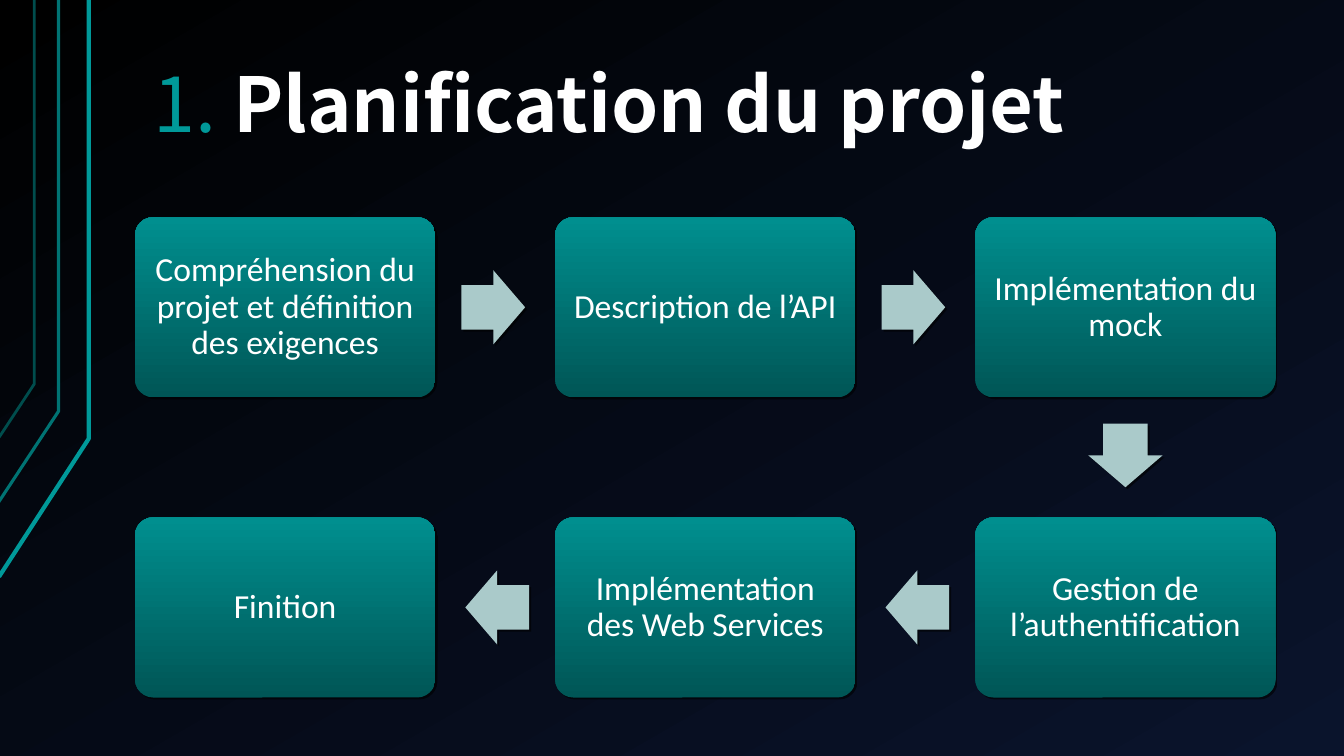
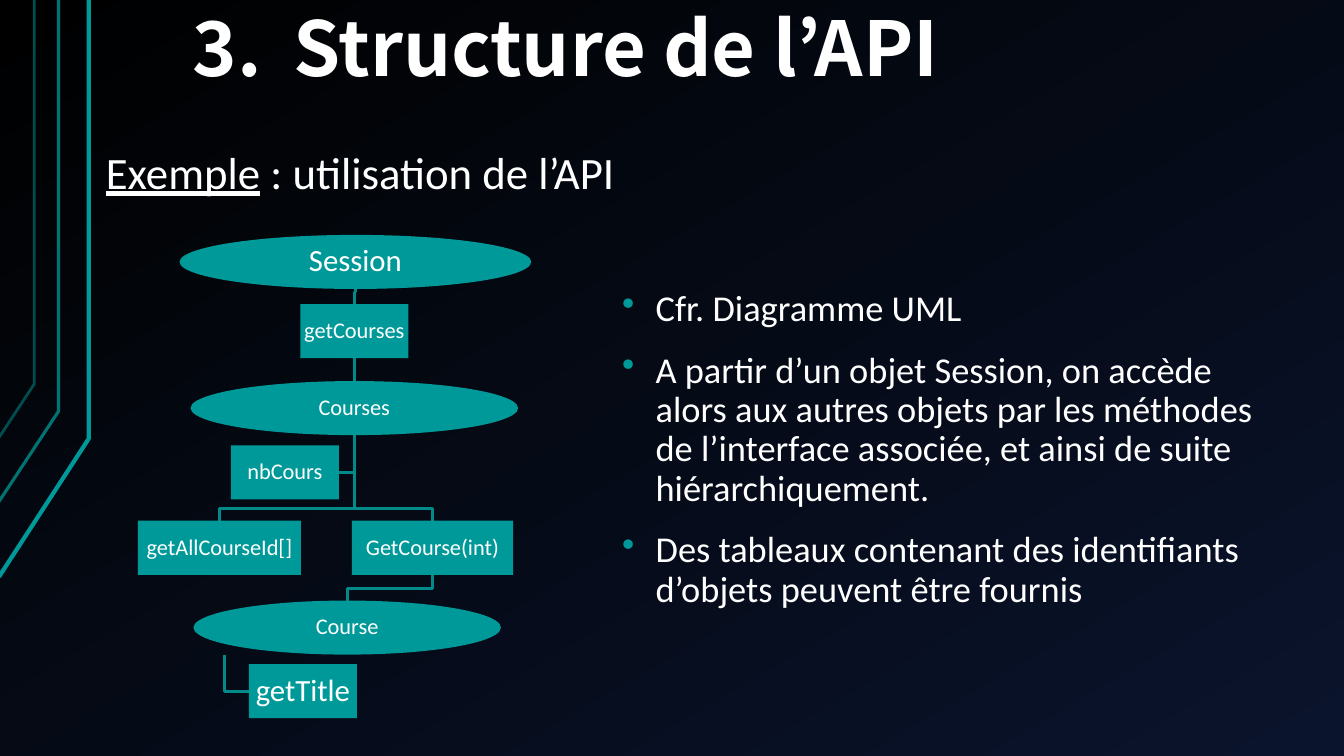
import pptx
import pptx.util
import pptx.dml.color
import pptx.enum.shapes
import pptx.enum.text
import pptx.oxml.ns
from dataclasses import dataclass
from lxml import etree

Pt = pptx.util.Pt
Kind = pptx.enum.shapes.MSO_SHAPE
Anchor = pptx.enum.text.MSO_ANCHOR
Align = pptx.enum.text.PP_ALIGN
qn = pptx.oxml.ns.qn


@dataclass(frozen=True)
class Theme:
    head: str = "Noto Sans CJK KR"
    body: str = "Calibri"
    white: str = "FFFFFF"
    black: str = "000000"
    navy: str = "0A142C"
    teal: str = "009999"
    light: str = "008F8F"
    dark: str = "005656"
    pale: str = "AACACA"
    link: str = "008A8A"
    title: int = 54
    lead: int = 32
    list: int = 26
    step: int = 24
    big: int = 22
    small: int = 16


T = Theme()


def rgb(code):
    return pptx.dml.color.RGBColor.from_string(code)


# Paint and text helpers
def blend(fill, start, end, angle):
    fill.gradient()
    fill.gradient_angle = angle
    for stop, code in zip(fill.gradient_stops, (start, end)):
        stop.color.rgb = rgb(code)


def flat(shape, code):
    shape.fill.solid()
    shape.fill.fore_color.rgb = rgb(code)
    shape.line.fill.background()
    shape.shadow.inherit = False


def drop(shape):
    """Hard shadow, 2 pt down and to the right."""
    shape.shadow.inherit = False
    effect = shape._element.spPr.find(qn("a:effectLst"))
    outer = etree.SubElement(effect, qn("a:outerShdw"), dist=str(Pt(2)),
                             dir="2700000", algn="tl", rotWithShape="0")
    color = etree.SubElement(outer, qn("a:srgbClr"), val=T.black)
    etree.SubElement(color, qn("a:alpha"), val="60000")


def frame(shape, anchor, side, top):
    text = shape.text_frame
    text.word_wrap = True
    text.vertical_anchor = anchor
    text.margin_left = text.margin_right = Pt(side)
    text.margin_top = text.margin_bottom = Pt(top)
    return text


def add_run(para, words, size, font=T.body, bold=False, under=False):
    run = para.add_run()
    run.text = words
    run.font.size = Pt(size)
    run.font.name = font
    run.font.bold = bold
    run.font.underline = under
    run.font.color.rgb = rgb(T.white)
    props = run._r.get_or_add_rPr()
    for tag in ("a:ea", "a:cs"):
        etree.SubElement(props, qn(tag), typeface=font)


def mark(para, indent, tag, **attrs):
    """Hanging teal bullet or number."""
    props = para._p.get_or_add_pPr()
    props.set("marL", str(Pt(indent)))
    props.set("indent", str(-Pt(indent)))
    color = etree.SubElement(props, qn("a:buClr"))
    etree.SubElement(color, qn("a:srgbClr"), val=T.teal)
    etree.SubElement(props, qn(tag), **attrs)


def text_box(slide, box, anchor=Anchor.BOTTOM):
    shape = slide.shapes.add_textbox(*map(Pt, box))
    text = frame(shape, anchor, 9.4, 5)
    text.paragraphs[0].line_spacing = 0.9
    return text


def label(shape, words, size, inset):
    text = frame(shape, Anchor.MIDDLE, inset, inset)
    para = text.paragraphs[0]
    para.alignment = Align.CENTER
    para.line_spacing = 0.9
    add_run(para, words, size)


def trace(slide, points, code, width):
    """Open line through points, straight or bent."""
    if len({x for x, y in points}) == 1:
        ends = [Pt(n) for p in (points[0], points[-1]) for n in p]
        line = slide.shapes.add_connector(
            pptx.enum.shapes.MSO_CONNECTOR.STRAIGHT, *ends)
        etree.SubElement(line._element.spPr, qn("a:effectLst"))
    else:
        first, *rest = [(Pt(x), Pt(y)) for x, y in points]
        pen = slide.shapes.build_freeform(*first)
        pen.add_line_segments(rest, close=False)
        line = pen.convert_to_shape()
        line.fill.background()
        line.shadow.inherit = False
    line.line.color.rgb = rgb(code)
    line.line.width = Pt(width)


# Shared backdrop
def backdrop(deck):
    slide = deck.slides.add_slide(deck.slide_layouts[6])
    blend(slide.background.fill, T.black, T.navy, 300)
    for x, bend, left, foot, code, width in (
            (63.4, 313.4, -0.7, 412, T.teal, 3),
            (41.8, 293.8, -1.4, 359.3, "007373", 2.25),
            (24.5, 274.3, -0.7, 312.5, "004D4D", 2)):
        trace(slide, [(left, foot), (x, bend), (x, 0)], code, width)
    return slide


# Snake of steps: first row rightwards, second row leftwards
def flow(slide, box, steps):
    left, top, width, height = box
    cols = 3
    wide, tall = 214.4, 128.6
    dx, dy = (width - wide) / (cols - 1), height - tall
    spots = []
    for i in range(len(steps)):
        row, col = divmod(i, cols)
        col = cols - 1 - col if row else col
        spots.append((left + col * dx, top + row * dy))

    for (x, y), words in zip(spots, steps):
        step = slide.shapes.add_shape(
            Kind.ROUNDED_RECTANGLE, Pt(x), Pt(y), Pt(wide), Pt(tall))
        step.adjustments[0] = 0.1
        blend(step.fill, T.dark, T.light, 90)
        step.line.fill.background()
        drop(step)
        label(step, words, T.step, 7)

    for (x, y), (nx, ny) in zip(spots, spots[1:]):
        if nx == x:
            kind, w, h, sx, sy = Kind.DOWN_ARROW, 53, 45.5, 0, 1
        else:
            sx, sy = (1 if nx > x else -1), 0
            kind = Kind.RIGHT_ARROW if sx > 0 else Kind.LEFT_ARROW
            w, h = 45.5, 53
        mx = (x + nx + wide) / 2 - 1.4 * sx
        my = (y + ny + tall) / 2 - 1.4 * sy
        arrow = slide.shapes.add_shape(
            kind, Pt(mx - w / 2), Pt(my - h / 2), Pt(w), Pt(h))
        arrow.adjustments[0], arrow.adjustments[1] = 0.6, 0.5
        flat(arrow, T.pale)
        drop(arrow)


# Tree of objects (ovals) and methods (boxes)
def tree(slide, box):
    left, top = box[:2]
    tall, bus = 38.6, 8.6
    oval, rect = Kind.OVAL, Kind.RECTANGLE
    nodes = {
        "Session": (oval, 29.6, 0, 251.3, T.big),
        "getCourses": (rect, 115.9, 49.4, 77.2, T.small),
        "Courses": (oval, 37.5, 104.4, 234, T.small),
        "nbCours": (rect, 66.3, 150.4, 77.2, T.small),
        "getAllCourseId[]": (rect, 0, 204.2, 116.4, T.small),
        "GetCourse(int)": (rect, 152.7, 204.2, 115.2, T.small),
        "Course": (oval, 39.6, 261.2, 219.6, T.small),
        "getTitle": (rect, 79.2, 306.6, 77.2, T.big),
    }

    def spot(name, part=0.5):
        kind, x, y, wide, size = nodes[name]
        return left + x + wide * part, top + y

    for start, end in (("Session", "getCourses"), ("getCourses", "Courses"),
                       ("Courses", "getAllCourseId[]"),
                       ("Courses", "GetCourse(int)"),
                       ("GetCourse(int)", "Course")):
        (x, y), (nx, ny) = spot(start), spot(end)
        if abs(nx - x) < 0.2:
            nx = x
        trace(slide, [(x, y + tall), (x, ny - bus), (nx, ny - bus), (nx, ny)],
              T.link, 2)

    # Side links, entering a box by its edge
    for start, part, end, edge in (("Courses", 0.5, "nbCours", 1),
                                   ("Course", 0.1, "getTitle", 0)):
        (x, y), (nx, ny) = spot(start, part), spot(end, edge)
        mid = ny + tall / 2
        trace(slide, [(x, y + tall), (x, mid), (nx, mid)], T.link, 2)

    for name, (kind, x, y, wide, size) in nodes.items():
        node = slide.shapes.add_shape(
            kind, Pt(left + x), Pt(top + y), Pt(wide), Pt(tall))
        flat(node, T.teal)
        label(node, name, size, 0.7)


def bullets(slide, box, items):
    text = text_box(slide, box, Anchor.TOP)
    for i, words in enumerate(items):
        para = text.add_paragraph() if i else text.paragraphs[0]
        para.line_spacing = 0.9
        para.space_before = Pt(16)
        mark(para, 24, "a:buChar", char="•")
        add_run(para, words, T.list)


# Slides
def plan(deck):
    slide = backdrop(deck)
    para = text_box(slide, (100, 15, 816, 96.5)).paragraphs[0]
    para.space_before = Pt(16)
    mark(para, 40.5, "a:buAutoNum", type="arabicPeriod")
    add_run(para, " ", T.title, T.head)
    add_run(para, "Planification du projet", T.title, T.head, bold=True)
    flow(slide, (96.5, 155.2, 814.6, 343), (
        "Compréhension du projet et définition des exigences",
        "Description de l’API", "Implémentation du mock",
        "Gestion de l’authentification", "Implémentation des Web Services",
        "Finition"))


def layout(deck):
    slide = backdrop(deck)
    para = text_box(slide, (66.2, 103, 395.3, 44)).paragraphs[0]
    add_run(para, "Exemple", T.lead, under=True)
    add_run(para, " : utilisation de l’API", T.lead)
    tree(slide, (98.6, 167.8, 280, 345))
    bullets(slide, (434.9, 202.3, 491, 244), (
        "Cfr. Diagramme UML",
        "A partir d’un objet Session, on accède alors aux autres objets par "
        "les méthodes de l’interface associée, et ainsi de suite "
        "hiérarchiquement.",
        "Des tableaux contenant des identifiants d’objets peuvent être "
        "fournis"))
    para = text_box(slide, (128.2, 0, 815.8, 71)).paragraphs[0]
    add_run(para, "3.\tStructure de l’API", T.title, T.head, bold=True)


def main():
    deck = pptx.Presentation()
    deck.slide_width, deck.slide_height = Pt(960), Pt(540)
    plan(deck)
    layout(deck)
    deck.save("out.pptx")


if __name__ == "__main__":
    main()
